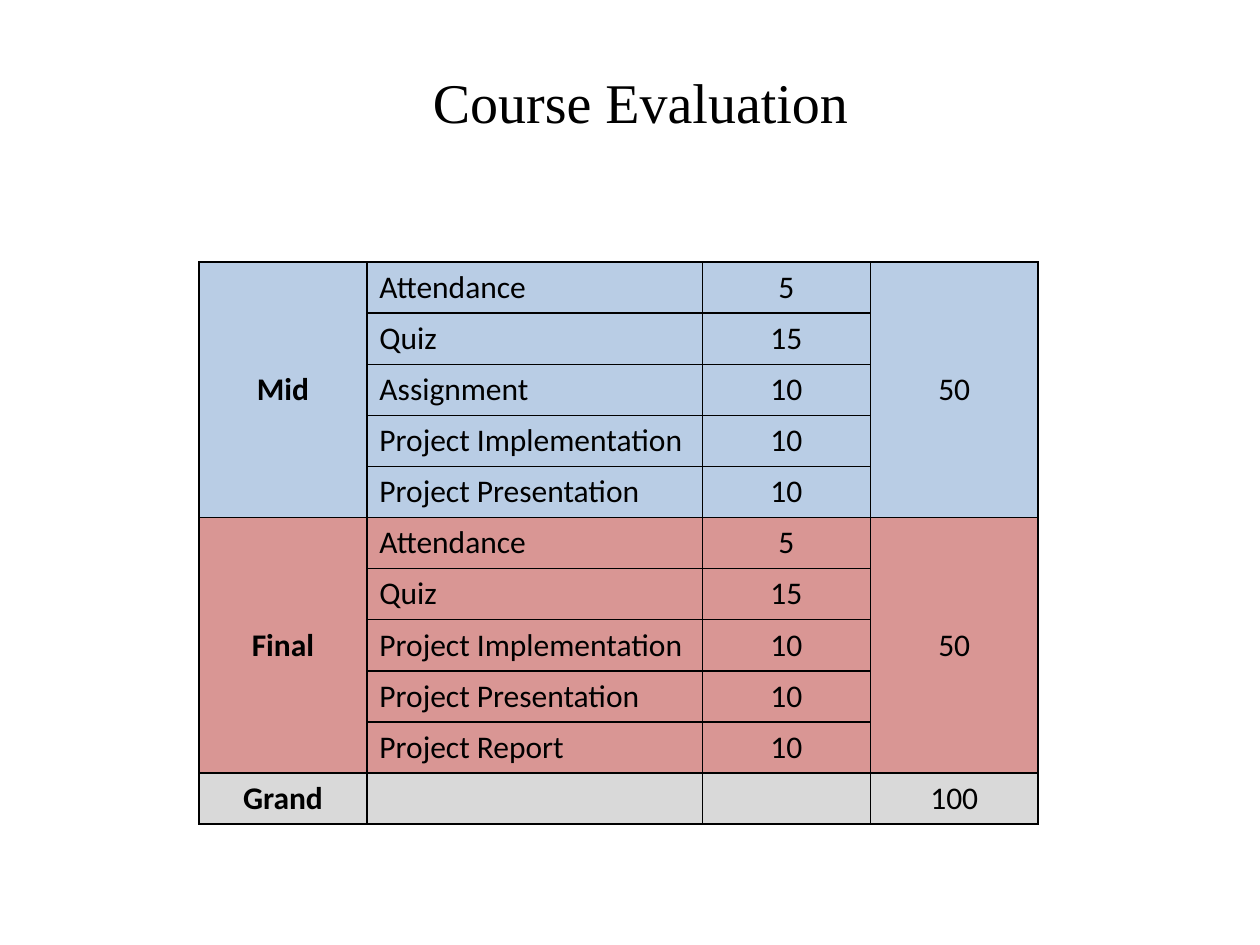
from dataclasses import dataclass

from lxml import etree
from pptx import Presentation
from pptx import util as u
from pptx.dml.color import RGBColor
from pptx.enum import text
from pptx.oxml import ns

BLACK = RGBColor(0x00, 0x00, 0x00)
BLUE = RGBColor(0xB9, 0xCD, 0xE5)
RED = RGBColor(0xD9, 0x96, 0x94)
GREY = RGBColor(0xD9, 0xD9, 0xD9)
COLUMN_SHARES = (1, 2, 1, 1)
TABLE_WIDTH = u.Inches(6.66)
TABLE_HEIGHT = u.Inches(4.46)


@dataclass
class Section:
    name: str
    total: str
    fill: RGBColor
    items: list[tuple[str, str]]


SECTIONS = [
    Section("Mid", "50", BLUE, [
        ("Attendance", "5"),
        ("Quiz", "15"),
        ("Assignment", "10"),
        ("Project Implementation", "10"),
        ("Project Presentation", "10"),
    ]),
    Section("Final", "50", RED, [
        ("Attendance", "5"),
        ("Quiz", "15"),
        ("Project Implementation", "10"),
        ("Project Presentation", "10"),
        ("Project Report", "10"),
    ]),
    Section("Grand", "100", GREY, [("", "")]),
]


def write(tf, words: str, size: int, font: str, bold: bool = False, centred: bool = True) -> None:
    p = tf.paragraphs[0]
    p.alignment = text.PP_ALIGN.CENTER if centred else text.PP_ALIGN.LEFT
    r = p.add_run()
    r.text = words
    r.font.size = u.Pt(size)
    r.font.name = font
    r.font.bold = bold
    r.font.color.rgb = BLACK


def style_cell(cell, fill: RGBColor) -> None:
    cell.vertical_anchor = text.MSO_ANCHOR.MIDDLE
    tcPr = cell._tc.get_or_add_tcPr()
    for side in ("lnL", "lnR", "lnT", "lnB"):
        ln = etree.SubElement(tcPr, ns.qn(f"a:{side}"), w=str(u.Pt(1)))
        solid = etree.SubElement(ln, ns.qn("a:solidFill"))
        etree.SubElement(solid, ns.qn("a:srgbClr"), val=str(BLACK))
    cell.fill.solid()
    cell.fill.fore_color.rgb = fill


def write_cell(cell, words: str, bold: bool = False, centred: bool = True) -> None:
    if words:
        write(cell.text_frame, words, 18, "Calibri", bold, centred)


def draw_section(table, top: int, section: Section) -> None:
    bottom = top + len(section.items) - 1
    for row, (item, marks) in enumerate(section.items, top):
        for col in range(len(COLUMN_SHARES)):
            style_cell(table.cell(row, col), section.fill)
        write_cell(table.cell(row, 1), item, centred=False)
        write_cell(table.cell(row, 2), marks)
    for col, words in ((0, section.name), (3, section.total)):
        if bottom > top:
            table.cell(top, col).merge(table.cell(bottom, col))
        write_cell(table.cell(top, col), words, bold=col == 0)


def draw_table(s) -> None:
    rows = sum(len(section.items) for section in SECTIONS)
    table = s.shapes.add_table(rows, len(COLUMN_SHARES), u.Inches(1.58), u.Inches(2.08),
                               TABLE_WIDTH, TABLE_HEIGHT).table
    table.first_row = False
    table.horz_banding = False
    for column, share in zip(table.columns, COLUMN_SHARES):
        column.width = TABLE_WIDTH * share // sum(COLUMN_SHARES)
    for row in table.rows:
        row.height = TABLE_HEIGHT // rows
    top = 0
    for section in SECTIONS:
        draw_section(table, top, section)
        top += len(section.items)


def draw_title(s) -> None:
    title = s.shapes.title
    title.left, title.top = u.Inches(1.75), u.Inches(0.42)
    title.width, title.height = u.Inches(6.67), u.Inches(0.77)
    title.text_frame.vertical_anchor = text.MSO_ANCHOR.MIDDLE
    write(title.text_frame, "Course Evaluation", 32, "Times New Roman")


def main() -> None:
    prs = Presentation()
    prs.slide_width, prs.slide_height = u.Inches(10), u.Inches(7.5)
    s = prs.slides.add_slide(prs.slide_layouts[5])
    draw_title(s)
    draw_table(s)
    prs.save("out.pptx")


if __name__ == "__main__":
    main()
